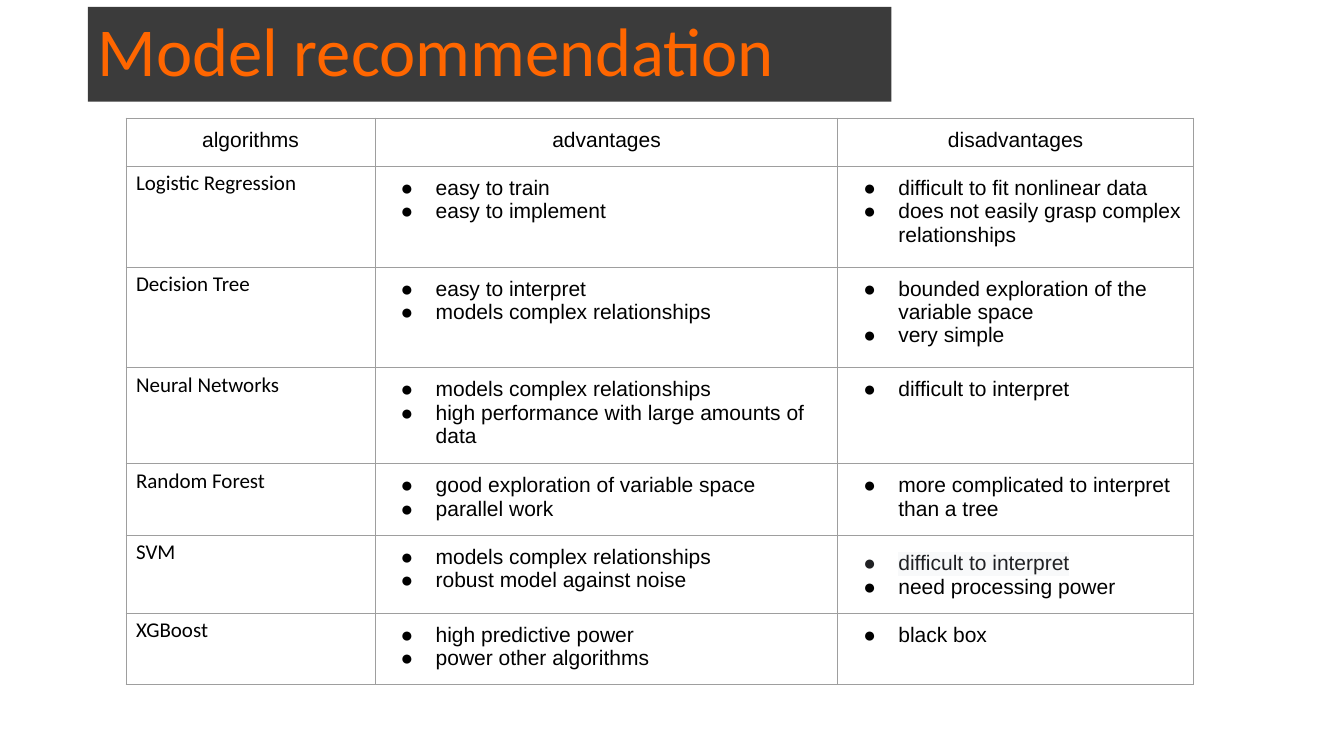
import pptx
import pptx.dml.color
import pptx.enum.shapes
import pptx.enum.text
import pptx.oxml
import pptx.oxml.ns
import pptx.util

Pt = pptx.util.Pt
ALIGN = pptx.enum.text.PP_ALIGN
COLORS = {"panel": "3B3B3B", "title": "FF6600", "text": "000000",
          "soft": "202124", "highlight": "F8F9FA", "border": "9E9E9E"}
HEADERS = ["algorithms", "advantages", "disadvantages"]
MODELS = [
    ("Logistic Regression", ["easy to train", "easy to implement"],
     ["difficult to fit nonlinear data", "does not easily grasp complex relationships"]),
    ("Decision Tree", ["easy to interpret", "models complex relationships"],
     ["bounded exploration of the variable space", "very simple"]),
    ("Neural Networks",
     ["models complex relationships", "high performance with large amounts of data"],
     ["difficult to interpret"]),
    ("Random Forest", ["good exploration of variable space", "parallel work"],
     ["more complicated to interpret than a tree"]),
    ("SVM", ["models complex relationships", "robust model against noise"],
     ["difficult to interpret", "need processing power"]),
    ("XGBoost", ["high predictive power", "power other algorithms"], ["black box"]),
]
COL_WIDTHS = [178, 330.5, 254]
ROW_HEIGHTS = [34.5, 72, 72, 68.5, 51, 55.5, 51]


class SlideBuilder:
    """Draws styled elements on one slide, with lengths in points."""

    def __init__(self, slide):
        self.slide = slide
        self.inset = Pt(7.2)

    def rgb(self, color):
        return pptx.dml.color.RGBColor.from_string(COLORS[color])

    def xml(self, body):
        ns = pptx.oxml.ns.nsdecls("a")
        return pptx.oxml.parse_xml(body.replace(">", f" {ns}>", 1))

    def set_margins(self, box):
        box.margin_left = box.margin_right = self.inset
        box.margin_top = box.margin_bottom = self.inset

    def add_text(self, p, text, font="Arial", size=15, color="text",
                 align=ALIGN.LEFT, line=1.0, before=0):
        p.alignment, p.line_spacing, p.space_before = align, line, Pt(before)
        r = p.add_run()
        r.text = text
        r.font.size, r.font.name = Pt(size), font
        r.font.color.rgb = self.rgb(color)
        return r

    def bullet(self, p, color):
        pPr = p._p.get_or_add_pPr()
        pPr.set("marL", str(Pt(36)))
        pPr.set("indent", str(-Pt(25)))
        pPr.append(self.xml(f'<a:buClr><a:srgbClr val="{COLORS[color]}"/></a:buClr>'))
        pPr.append(self.xml('<a:buFont typeface="Arial"></a:buFont>'))
        pPr.append(self.xml('<a:buChar char="●"></a:buChar>'))

    def highlight(self, r):
        fill = r._r.rPr.find(pptx.oxml.ns.qn("a:solidFill"))
        fill.addnext(self.xml(
            f'<a:highlight><a:srgbClr val="{COLORS["highlight"]}"/></a:highlight>'))

    def title(self, text, x, y, w, h):
        sp = self.slide.shapes.add_shape(
            pptx.enum.shapes.MSO_SHAPE.RECTANGLE, Pt(x), Pt(y), Pt(w), Pt(h))
        sp.shadow.inherit = False
        sp.fill.solid()
        sp.fill.fore_color.rgb = self.rgb("panel")
        sp.line.fill.background()
        tf = sp.text_frame
        tf.word_wrap = True
        tf.auto_size = pptx.enum.text.MSO_AUTO_SIZE.SHAPE_TO_FIT_TEXT
        tf.vertical_anchor = pptx.enum.text.MSO_ANCHOR.TOP
        self.set_margins(tf)
        self.add_text(tf.paragraphs[0], text, "Calibri", 49, "title", ALIGN.JUSTIFY, 0.9, 10)

    def table(self, x, y, widths, heights):
        table = self.slide.shapes.add_table(
            len(heights), len(widths), Pt(x), Pt(y), Pt(sum(widths)), Pt(sum(heights))).table
        table.first_row = table.horz_banding = False
        for column, width in zip(table.columns, widths):
            column.width = Pt(width)
        for row, height in zip(table.rows, heights):
            row.height = Pt(height)
        for cell in table.iter_cells():
            self.style_cell(cell)
        return table

    def style_cell(self, cell):
        self.set_margins(cell)
        tcPr = cell._tc.get_or_add_tcPr()
        for side in ("lnL", "lnR", "lnT", "lnB"):
            tcPr.append(self.xml(
                f'<a:{side} w="{Pt(0.75)}"><a:solidFill>'
                f'<a:srgbClr val="{COLORS["border"]}"/></a:solidFill></a:{side}>'))
        cell.fill.background()

    def bullet_list(self, cell, items, soft_first=False):
        tf = cell.text_frame
        for i, item in enumerate(items):
            p = tf.paragraphs[0] if i == 0 else tf.add_paragraph()
            soft = soft_first and i == 0
            color = "soft" if soft else "text"
            r = self.add_text(p, item, color=color, line=1.29 if soft else 1.0)
            self.bullet(p, color)
            if soft:
                self.highlight(r)


def main():
    prs = pptx.Presentation()
    prs.slide_width, prs.slide_height = Pt(960), Pt(540)
    s = SlideBuilder(prs.slides.add_slide(prs.slide_layouts[6]))
    s.title("Model recommendation", 62.8, 5, 574, 67.7)
    table = s.table(90, 84.3, COL_WIDTHS, ROW_HEIGHTS)
    for col, header in enumerate(HEADERS):
        s.add_text(table.cell(0, col).text_frame.paragraphs[0], header, align=ALIGN.CENTER)
    for row, (name, advantages, disadvantages) in enumerate(MODELS, 1):
        s.add_text(table.cell(row, 0).text_frame.paragraphs[0], name, "Calibri",
                   line=0.7, before=10)
        s.bullet_list(table.cell(row, 1), advantages)
        s.bullet_list(table.cell(row, 2), disadvantages, soft_first=name == "SVM")
    prs.save("out.pptx")


if __name__ == "__main__":
    main()
